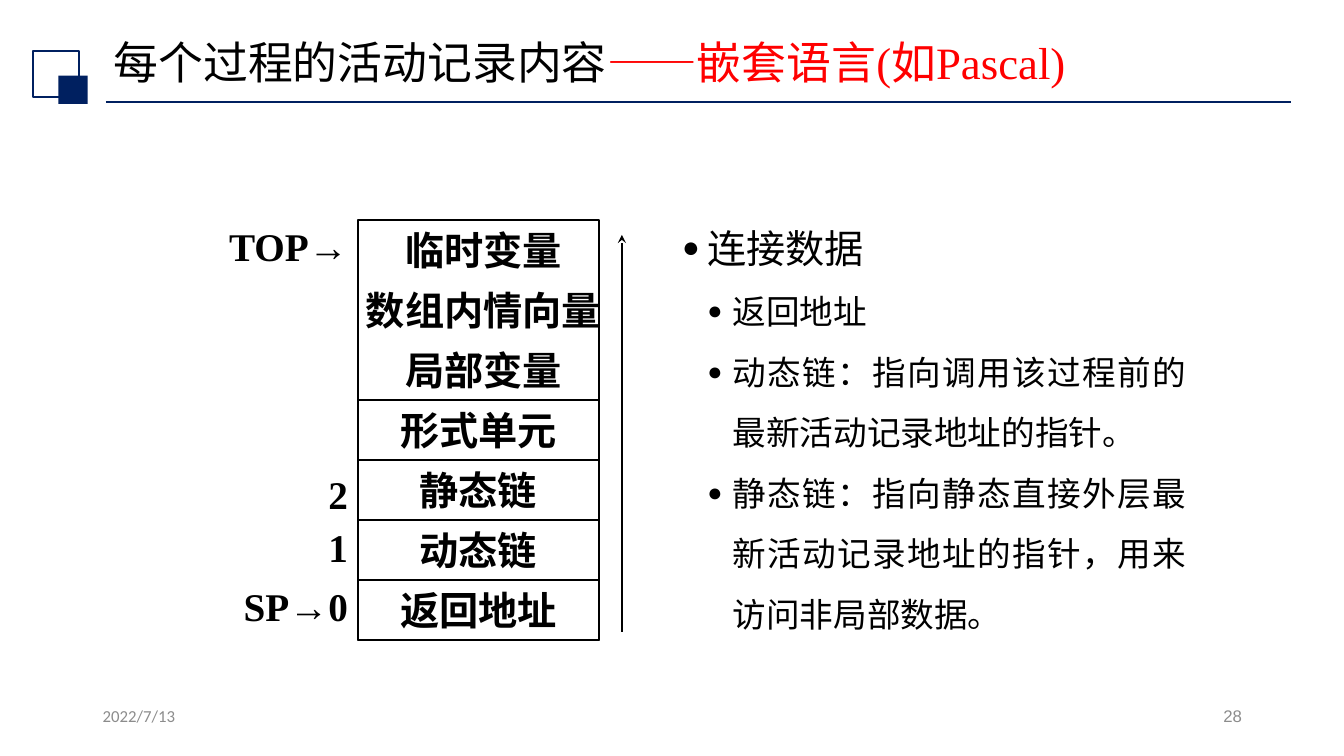
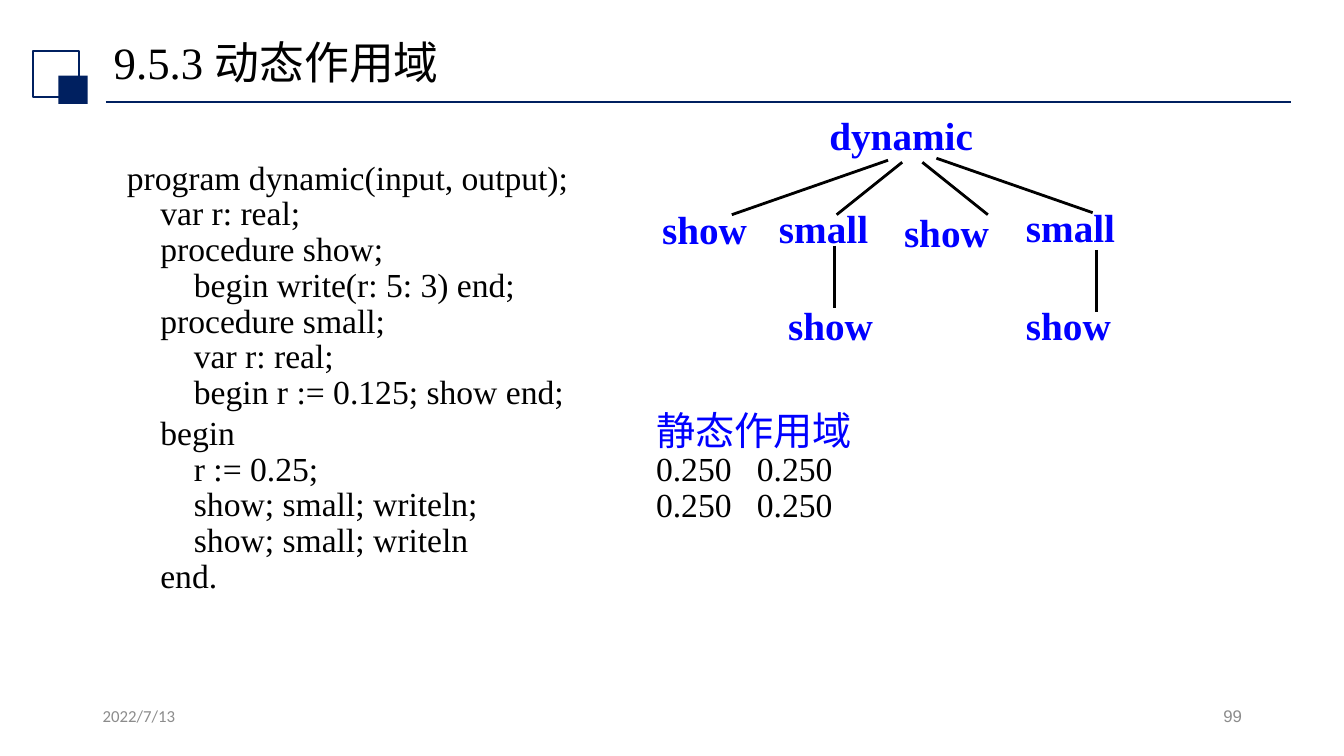
from dataclasses import dataclass

from lxml import etree
from pptx import Presentation
from pptx import util as u
from pptx.dml.color import RGBColor
from pptx.enum import shapes, text
from pptx.oxml.ns import qn

UNIT = 0.1  # side of one grid square in inches; all places count squares
WIDE, HIGH = 133.33, 75
SERIF = "Times New Roman"
NAVY, BLACK, RED, BLUE, GREY = "002060", "000000", "FF0000", "0000FF", "8C8C8C"
LEFT, MID, RIGHT = text.PP_ALIGN.LEFT, text.PP_ALIGN.CENTER, text.PP_ALIGN.RIGHT
TOP, HALF = text.MSO_ANCHOR.TOP, text.MSO_ANCHOR.MIDDLE


@dataclass(frozen=True)
class Box:
    col: float
    row: float
    cols: float
    rows: float


@dataclass(frozen=True)
class Style:
    size: float
    color: str = BLACK
    bold: bool = False
    face: str = SERIF


@dataclass(frozen=True)
class Cell:
    label: str
    lined: bool = True


@dataclass(frozen=True)
class Mark:
    label: str
    row: float


@dataclass(frozen=True)
class Point:
    label: str
    size: float
    inset: float


@dataclass(frozen=True)
class Node:
    label: str
    col: float
    row: float


@dataclass(frozen=True)
class Edge:
    col: float
    row: float
    to_col: float
    to_row: float


HEAD = Style(32)
BOLD = Style(28, bold=True)
NAME = Style(28, BLUE, True)
CODE = Style(24)
PITCH = u.Pt(25.5)

CELLS = [
    Cell("临时变量", False),
    Cell("数组内情向量", False),
    Cell("局部变量", False),
    Cell("形式单元"),
    Cell("静态链"),
    Cell("动态链"),
    Cell("返回地址"),
]
MARKS = [Mark("TOP→", 21.8), Mark("2", 46.4), Mark("1", 51.6), Mark("SP→0", 57.5)]
POINTS = [
    Point("连接数据", 28, 2.5),
    Point("返回地址", 24, 5),
    Point("动态链：指向调用该过程前的最新活动记录地址的指针。", 24, 5),
    Point("静态链：指向静态直接外层最新活动记录地址的指针，用来访问非局部数据。", 24, 5),
]
PROGRAM = """program dynamic(input, output);
    var r: real;
    procedure show;
        begin write(r: 5: 3) end;
    procedure small;
        var r: real;
        begin r := 0.125; show end;
    begin
        r := 0.25;
        show; small; writeln;
        show; small; writeln
    end."""
NODES = [
    Node("dynamic", 81.3, 10.6),
    Node("show", 64.7, 19.9),
    Node("small", 76.3, 19.8),
    Node("show", 88.7, 20.2),
    Node("small", 100.8, 19.7),
    Node("show", 77.2, 29.4),
    Node("show", 100.8, 29.4),
]
EDGES = [
    Edge(88.1, 15.9, 72.6, 21.3),
    Edge(89.5, 16.1, 83, 21.3),
    Edge(91.5, 16.1, 98, 21.3),
    Edge(92.9, 15.7, 108.4, 21.1),
    Edge(82.8, 24.4, 82.8, 30.6),
    Edge(108.8, 24.8, 108.8, 31),
]


def grid(count: float) -> int:
    return u.Inches(count * UNIT)


def area(box: Box) -> list[int]:
    return [grid(n) for n in (box.col, box.row, box.cols, box.rows)]


def paint(target, color: str) -> None:
    """Give a font, or a fill made solid, its colour."""
    target.rgb = RGBColor.from_string(color)


def dress(run, style: Style) -> None:
    run.font.size = u.Pt(style.size)
    run.font.name = style.face
    run.font.bold = style.bold
    paint(run.font.color, style.color)


def write(frame, words: str, style: Style, align=LEFT, anchor=TOP, wrap=True) -> None:
    frame.text = words
    frame.word_wrap = wrap
    frame.vertical_anchor = anchor
    for para in frame.paragraphs:
        para.alignment = align
        for run in para.runs:
            dress(run, style)


def label(slide, box: Box, words: str, style: Style, align=LEFT, anchor=TOP, wrap=True):
    frame = slide.shapes.add_textbox(*area(box)).text_frame
    write(frame, words, style, align, anchor, wrap)
    return frame


def rect(slide, box: Box, line: str = "", fill: str = ""):
    shape = slide.shapes.add_shape(shapes.MSO_SHAPE.RECTANGLE, *area(box))
    shape.shadow.inherit = False
    if fill:
        shape.fill.solid()
        paint(shape.fill.fore_color, fill)
    else:
        shape.fill.background()
    if line:
        paint(shape.line.color, line)
        shape.line.width = u.Pt(1.5)
    else:
        shape.line.fill.background()
    return shape


def rule(slide, edge: Edge, color: str, width: float, arrow: bool = False) -> None:
    ends = [grid(n) for n in (edge.col, edge.row, edge.to_col, edge.to_row)]
    line = slide.shapes.add_connector(shapes.MSO_CONNECTOR.STRAIGHT, *ends)
    paint(line.line.color, color)
    line.line.width = u.Pt(width)
    if arrow:
        etree.SubElement(line.line._get_or_add_ln(), qn("a:tailEnd"), type="stealth")
    etree.SubElement(line._element.spPr, qn("a:effectLst"))


def bullet(para, inset: float) -> None:
    props = para._p.get_or_add_pPr()
    props.set("marL", str(grid(inset)))
    props.set("indent", str(-grid(2.5)))
    color = etree.SubElement(props, qn("a:buClr"))
    etree.SubElement(color, qn("a:srgbClr"), val=BLACK)
    etree.SubElement(props, qn("a:buSzPct"), val="75000")
    etree.SubElement(props, qn("a:buFont"), typeface=SERIF)
    etree.SubElement(props, qn("a:buChar"), char="●")


def start(deck, title: str, page: int, accent: str = ""):
    """Add a slide with the shared title band and footer."""
    slide = deck.slides.add_slide(deck.slide_layouts[6])
    rule(slide, Edge(10.5, 10.1, 128.1, 10.1), NAVY, 1.25)
    rect(slide, Box(3.3, 5.1, 4.5, 4.5), line=NAVY)
    rect(slide, Box(5.8, 7.5, 2.9, 2.8), fill=NAVY)
    para = label(slide, Box(10.3, 3.4, 115, 6.1), title, HEAD, anchor=HALF).paragraphs[0]
    para.line_spacing = 0.9
    if accent:
        run = para.add_run()
        run.text = accent
        dress(run, Style(32, RED))
    label(slide, Box(9.2, 69.5, 30, 4), "2022/7/13", Style(12, GREY, face="Calibri"))
    label(slide, Box(94.2, 69.5, 30, 4), str(page), Style(12, GREY, face="Arial"), RIGHT)
    return slide


def stack(slide) -> None:
    """Draw the activation record, its marks and the growth arrow."""
    left, top, cols, step = 35.5, 21.8, 23.9, 5.96
    rect(slide, Box(left, top, cols, step * len(CELLS)), line=BLACK)
    for i, cell in enumerate(CELLS):
        box = Box(left, top + i * step, cols if cell.lined else cols + 1, step)
        shape = rect(slide, box, line=BLACK if cell.lined else "")
        write(shape.text_frame, cell.label, BOLD, MID, HALF, False)
    for mark in MARKS:
        label(slide, Box(left - 16, mark.row, 16, 5.2), mark.label, BOLD, RIGHT, HALF)
    rule(slide, Edge(61.7, 62.7, 61.7, 23.3), BLACK, 1.5, True)


def notes(slide) -> None:
    words = "\n".join(point.label for point in POINTS)
    frame = label(slide, Box(66.7, 19.4, 52, 50), words, CODE, text.PP_ALIGN.JUSTIFY)
    for para, point in zip(frame.paragraphs, POINTS):
        para.line_spacing = 1.5
        bullet(para, point.inset)
        dress(para.runs[0], Style(point.size))


def listing(slide) -> None:
    frame = label(slide, Box(11.6, 15.5, 50, 45), PROGRAM, CODE)
    for para in frame.paragraphs:
        para.line_spacing = PITCH
        if para.text.strip() == "begin":
            para.space_before = u.Pt(3.7)


def output(slide) -> None:
    words = "\n".join(["静态作用域"] + ["0.250\t0.250"] * 2)
    frame = label(slide, Box(64.1, 40.9, 30, 13), words, CODE)
    for para in frame.paragraphs:
        para.line_spacing = PITCH
        tabs = etree.SubElement(para._p.get_or_add_pPr(), qn("a:tabLst"))
        etree.SubElement(tabs, qn("a:tab"), pos=str(grid(10)), algn="l")
    dress(frame.paragraphs[0].runs[0], Style(28, BLUE))


def tree(slide) -> None:
    for node in NODES:
        label(slide, Box(node.col, node.row, 20, 5.4), node.label, NAME)
    for edge in EDGES:
        rule(slide, edge, BLACK, 2)


def main() -> None:
    deck = Presentation()
    deck.slide_width, deck.slide_height = grid(WIDE), grid(HIGH)
    record = start(deck, "每个过程的活动记录内容", 28, "——嵌套语言(如Pascal)")
    notes(record)
    stack(record)
    scope = start(deck, "9.5.3 动态作用域", 99)
    listing(scope)
    output(scope)
    tree(scope)
    deck.save("out.pptx")


if __name__ == "__main__":
    main()
